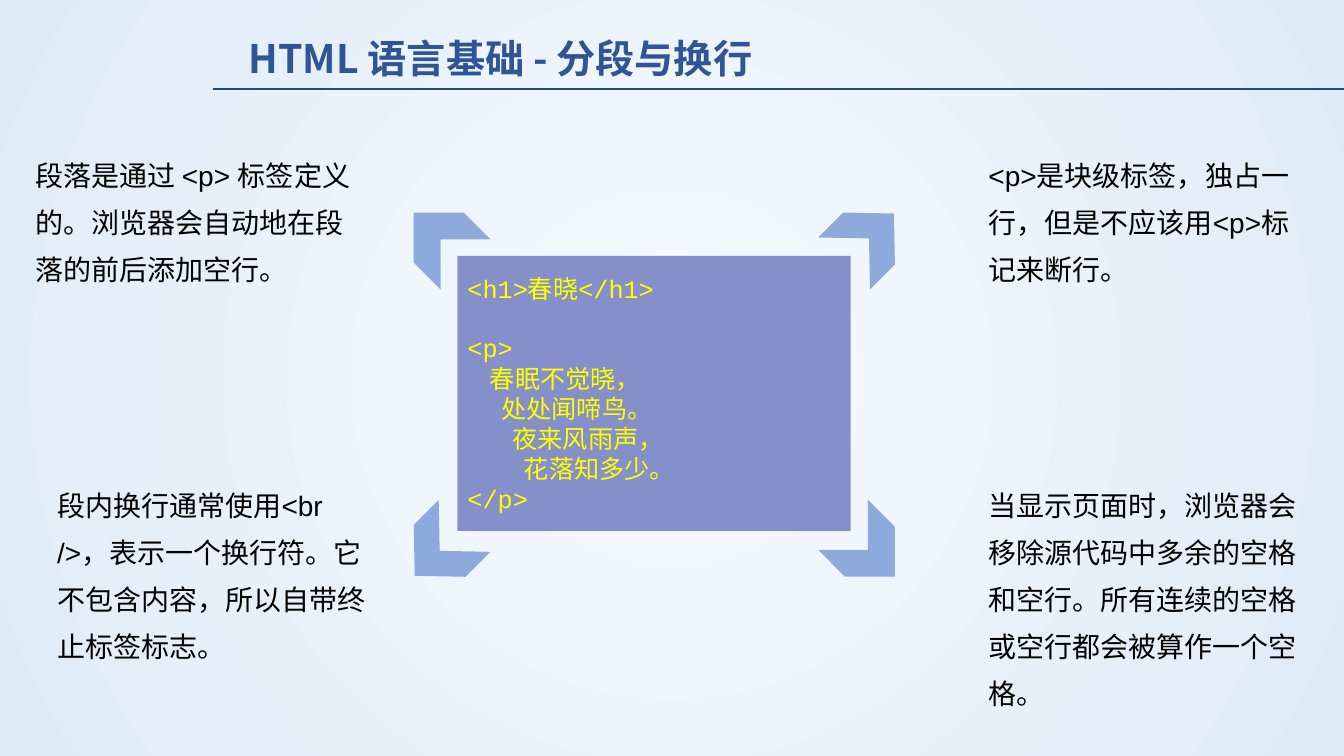
from lxml.etree import SubElement
from pptx import Presentation
from pptx.dml.color import RGBColor
from pptx.enum.shapes import MSO_CONNECTOR, MSO_SHAPE
from pptx.enum.text import MSO_ANCHOR, MSO_AUTO_SIZE, PP_ALIGN
from pptx.oxml.ns import qn
from pptx.util import Cm, Pt

CJK = "Noto Sans CJK SC"
NOTES = [
    (0.64, 3.53, "段落是通过 <p> 标签定义的。浏览器会自动地在段落的前后添加空行。"),
    (1.19, 11.84, "段内换行通常使用<br />，表示一个换行符。它不包含内容，所以自带终止标签标志。"),
    (24.66, 3.53, "<p>是块级标签，独占一行，但是不应该用<p>标记来断行。"),
    (24.66, 11.84, "当显示页面时，浏览器会移除源代码中多余的空格和空行。所有连续的空格或空行都会被算作一个空格。"),
]
CORNERS = [
    (11.08, 6.01, 1.85, 1.78, 225),
    (11.08, 13.88, 1.78, 1.85, 135),
    (21.9, 13.88, 1.85, 1.78, 45),
    (21.9, 6.01, 1.78, 1.85, 315),
]
POEM = ["春眠不觉晓，", "处处闻啼鸟。", "夜来风雨声，", "花落知多少。"]


def color(value):
    return RGBColor.from_string(value)


def write(p, text, *, size, font, fill, bold=False, spacing=None, before=None):
    p.alignment = PP_ALIGN.LEFT
    if spacing:
        p.line_spacing = spacing
    if before:
        p.space_before = Pt(before)
    r = p.add_run()
    r.text = text
    r.font.size = Pt(size)
    r.font.name = font
    r.font.bold = bold
    r.font.color.rgb = color(fill)
    SubElement(r.font._element, qn("a:ea"), typeface=CJK)


class Deck:
    """Hold the style and the current slide, and draw its elements."""

    def __init__(self):
        self.prs = Presentation()
        self.prs.slide_width, self.prs.slide_height = Cm(33.87), Cm(19.05)
        self.slide = self.prs.slides.add_slide(self.prs.slide_layouts[6])

    def background(self, inner, outer):
        fill = self.slide.background.fill
        fill.gradient()
        for stop, value, position in zip(fill.gradient_stops, (inner, outer), (0, 1)):
            stop.color.rgb = color(value)
            stop.position = position
        lin = next(self.slide.element.iter(qn("a:lin")))
        grad = lin.getparent()
        grad.remove(lin)
        radial = SubElement(grad, qn("a:path"), path="circle")
        SubElement(radial, qn("a:fillToRect"), {side: "50000" for side in "ltrb"})

    def rule(self, x1, x2, y, fill):
        line = self.slide.shapes.add_connector(
            MSO_CONNECTOR.STRAIGHT, Cm(x1), Cm(y), Cm(x2), Cm(y))
        line.line.color.rgb = color(fill)
        line.line.width = Pt(1.25)
        SubElement(line._element.spPr, qn("a:effectLst"))

    def text(self, x, y, w, h, text, grow=False, **style):
        tf = self.slide.shapes.add_textbox(Cm(x), Cm(y), Cm(w), Cm(h)).text_frame
        tf.word_wrap = True
        if grow:
            tf.auto_size = MSO_AUTO_SIZE.SHAPE_TO_FIT_TEXT
        write(tf.paragraphs[0], text, **style)

    def group(self):
        return self.slide.shapes.add_group_shape().shapes

    def shape(self, shapes, kind, x, y, w, h, fill, rotation=0):
        sp = shapes.add_shape(kind, Cm(x), Cm(y), Cm(w), Cm(h))
        sp.shadow.inherit = False
        sp.fill.solid()
        sp.fill.fore_color.rgb = color(fill)
        sp.line.fill.background()
        sp.rotation = rotation
        return sp

    def code(self, shapes, x, y, w, h, lines, fill):
        tf = self.shape(shapes, MSO_SHAPE.RECTANGLE, x, y, w, h, fill).text_frame
        tf.word_wrap = True
        tf.vertical_anchor = MSO_ANCHOR.MIDDLE
        for i, (line, before) in enumerate(lines):
            p = tf.add_paragraph() if i else tf.paragraphs[0]
            write(p, line, size=18, font="Courier New", fill="FFFF00", before=before)


def main():
    deck = Deck()
    deck.background("F7FAFD", "DEEBF7")
    deck.rule(5.36, 33.87, 2.24, "1F4E79")
    deck.text(6.02, 0.74, 26.77, 1.45, "HTML 语言基础 - 分段与换行", grow=True,
              size=28, font=CJK, fill="2F5597", bold=True)
    for x, y, note in NOTES:
        deck.text(x, y, 8.59, 5.54, note, size=20, font="Arial", fill="000000", spacing=1.4)

    frame = deck.group()
    for cx, cy, w, h, rotation in CORNERS:
        deck.shape(frame, MSO_SHAPE.CHEVRON, cx - w / 2, cy - h / 2, w, h, "8EAADC", rotation)
    verses = [(" " * (4 + 2 * i) + verse, None) for i, verse in enumerate(POEM)]
    lines = [("<h1>春晓</h1>", None), ("<p>", 21), *verses, ("</p>", None)]
    deck.code(frame, 11.53, 6.45, 9.91, 6.93, lines, "8590CA")
    deck.prs.save("out.pptx")


if __name__ == "__main__":
    main()
